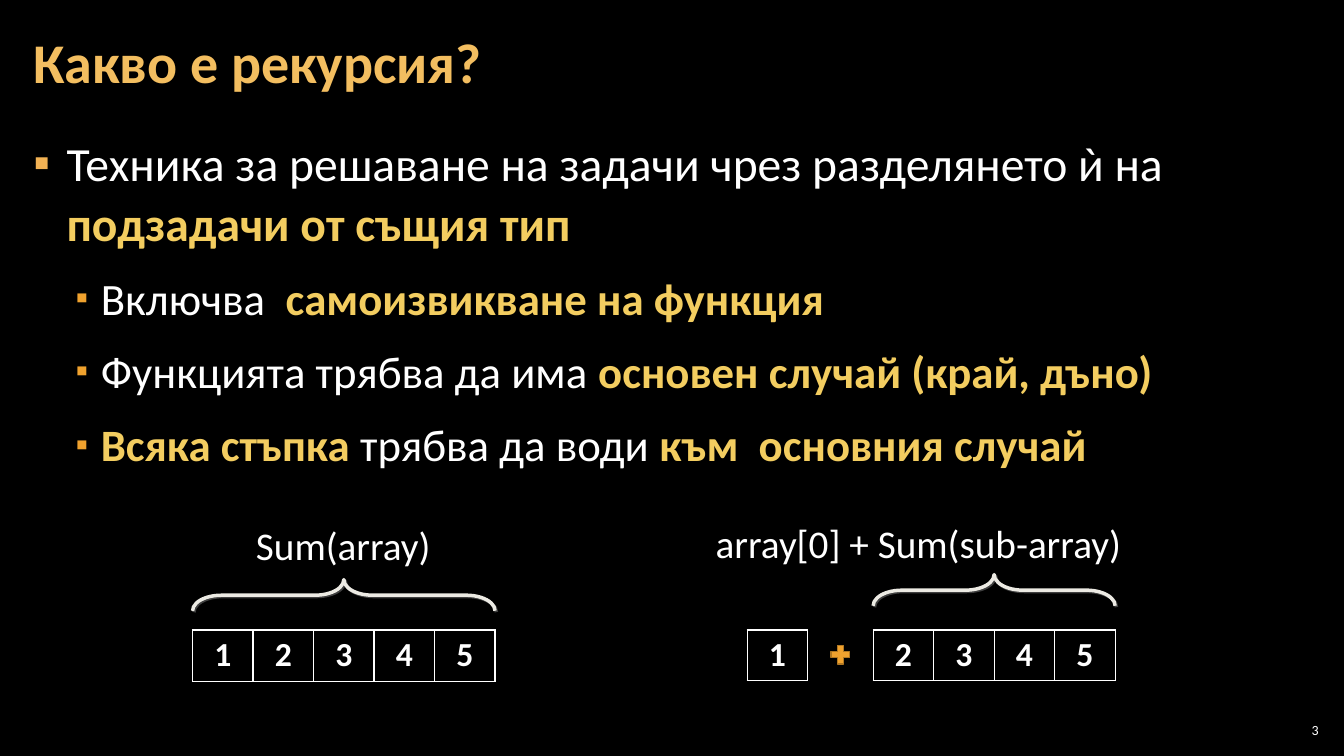
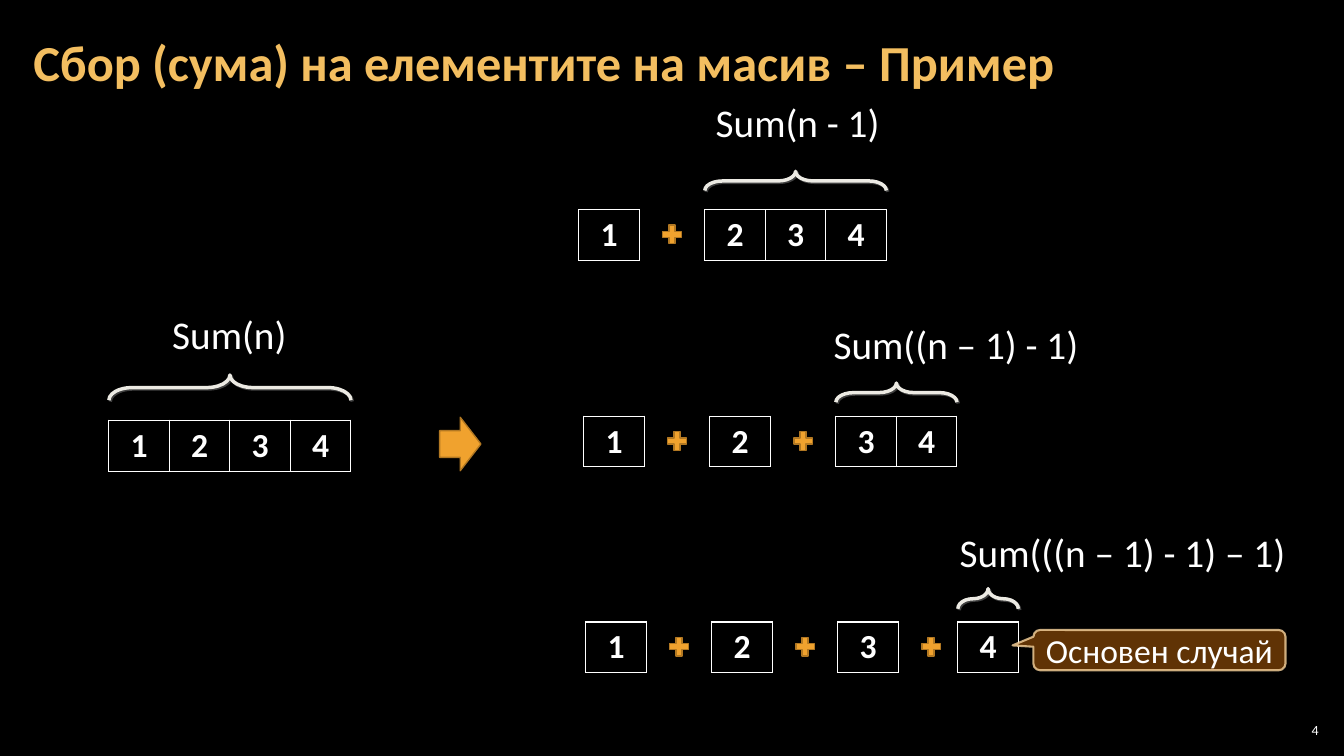
from dataclasses import dataclass

from lxml import etree
from pptx import Presentation
from pptx.dml.color import RGBColor
from pptx.enum.shapes import MSO_SHAPE
from pptx.enum.text import MSO_ANCHOR, MSO_AUTO_SIZE, PP_ALIGN
from pptx.oxml.ns import qn
from pptx.util import Inches, Pt

PLUS = MSO_SHAPE.MATH_PLUS
ARROW = MSO_SHAPE.RIGHT_ARROW
BRACE = MSO_SHAPE.LEFT_BRACE
CALLOUT = MSO_SHAPE.ROUNDED_RECTANGULAR_CALLOUT
MIDDLE = MSO_ANCHOR.MIDDLE
FIXED = MSO_AUTO_SIZE.NONE
LEFT, CENTER, RIGHT = PP_ALIGN.LEFT, PP_ALIGN.CENTER, PP_ALIGN.RIGHT

FONT = "Calibri"
COLORS = {
    "black": "000000",
    "white": "FFFFFF",
    "title": "F3BE60",
    "strong": "F3CD60",
    "bullet": "F2B254",
    "orange": "F0A22E",
    "edge": "B27822",
    "brace": "ECEAE3",
    "shade": "404040",
    "brown": "663606",
    "sand": "F8D49E",
}
CELL_W, CELL_H = 0.6, 0.5
STEP = 1.25
PLUS_X, PLUS_Y, PLUS_SIZE = 0.8, 0.12, 0.25


@dataclass
class Label:
    text: str
    left: float
    top: float
    width: float


@dataclass
class Row:
    left: float
    top: float
    groups: list[str]
    rise: float
    depth: float
    label: Label
    shift: float = 0


@dataclass
class Item:
    level: int
    runs: list[tuple[str, bool]]


ITEMS = [
    Item(0, [("Техника за решаване на задачи чрез разделянето ѝ на ", False),
             ("подзадачи от същия тип", True)]),
    Item(1, [("Включва  ", False), ("самоизвикване на функция", True)]),
    Item(1, [("Функцията трябва да има ", False),
             ("основен случай (край, дъно)", True)]),
    Item(1, [("Всяка стъпка ", True), ("трябва да води ", False),
             ("към  основния случай", True)]),
]
SPLIT = [
    Row(1.91, 6.25, ["12345"], 0.5, 0.31, Label("Sum(array)", 2.44, 5.12, 1.95)),
    Row(7.41, 6.25, ["1", "2345"], 0.55, 0.31,
        Label("array[0] + Sum(sub-array)", 7, 5.1, 4.45)),
]
STEPS = [
    Row(1.08, 4.17, ["1234"], 0.45, 0.25, Label("Sum(n)", 1.61, 3.03, 1.35)),
    Row(5.74, 2.08, ["1", "234"], 0.38, 0.19, Label("Sum(n - 1)", 7, 0.93, 1.85)),
    Row(5.79, 4.13, ["1", "2", "34"], 0.33, 0.19,
        Label("Sum((n – 1) - 1)", 8.17, 3.13, 2.66)),
    Row(5.81, 6.17, ["1", "2", "3", "4"], 0.33, 0.2,
        Label("Sum(((n – 1) - 1) – 1)", 9.42, 5.19, 3.59), -0.06),
]


def rgb(name: str) -> RGBColor:
    return RGBColor.from_string(COLORS[name])


def node(parent, tag: str, **attrs):
    return etree.SubElement(parent, qn(tag), {k: str(v) for k, v in attrs.items()})


def place(shape, left: float, top: float, width: float, height: float) -> None:
    shape.left, shape.top = Inches(left), Inches(top)
    shape.width, shape.height = Inches(width), Inches(height)


def style(para, size: float, color: str = "white", bold: bool = False) -> None:
    font = para.font
    font.name, font.size, font.bold = FONT, Pt(size), bold
    font.color.rgb = rgb(color)


def pad(frame, side: float, edge: float) -> None:
    frame.margin_left = frame.margin_right = Inches(side)
    frame.margin_top = frame.margin_bottom = Inches(edge)


def add_title(slide, text: str, size: float, width: float) -> None:
    shape = slide.shapes.title
    place(shape, 0.21, 0.04, width, 1.21)
    frame = shape.text_frame
    frame.text = text
    frame.auto_size = FIXED
    frame.vertical_anchor = MIDDLE
    pad(frame, 0.12, 0.04)
    para = frame.paragraphs[0]
    para.alignment = LEFT
    para.line_spacing = 0.9
    style(para, size, "title", True)


def add_list(slide, items: list[Item]) -> None:
    shape = slide.placeholders[1]
    place(shape, 0.21, 1.26, 12.91, 6.09)
    frame = shape.text_frame
    frame.auto_size = FIXED
    pad(frame, 0.12, 0.04)
    for i, item in enumerate(items):
        para = frame.add_paragraph() if i else frame.paragraphs[0]
        para.level = item.level
        para.line_spacing = 1.05
        para.space_before = Pt(6 if i else 0)
        para.space_after = Pt(6)
        margin, hang, color, size, scale = (
            (0.67, 0.25, "orange", 32, 80000) if item.level
            else (0.33, 0.33, "bullet", 34, 100000))
        props = para._p.get_or_add_pPr()
        props.set("marL", str(Inches(margin)))
        props.set("indent", str(-Inches(hang)))
        node(node(props, "a:buClr"), "a:srgbClr", val=COLORS[color])
        node(props, "a:buSzPct", val=scale)
        node(props, "a:buChar", char="▪")
        style(para, size)
        for text, strong in item.runs:
            run = para.add_run()
            run.text = text
            if strong:
                run.font.bold = True
                run.font.color.rgb = rgb("strong")


def add_number(slide, number: int) -> None:
    box = slide.shapes.add_textbox(
        Inches(12.65), Inches(7.14), Inches(0.47), Inches(0.21))
    frame = box.text_frame
    frame.word_wrap = True
    frame.vertical_anchor = MIDDLE
    pad(frame, 0.04, 0.04)
    para = frame.paragraphs[0]
    para.alignment = RIGHT
    style(para, 10)
    para.add_run().text = str(number)


def add_cells(slide, left: float, top: float, digits: str) -> None:
    table = slide.shapes.add_table(
        1, len(digits), Inches(left), Inches(top),
        Inches(CELL_W * len(digits)), Inches(CELL_H)).table
    table.first_row = table.horz_banding = False
    for i, digit in enumerate(digits):
        table.columns[i].width = Inches(CELL_W)
        cell = table.cell(0, i)
        cell.text = digit
        para = cell.text_frame.paragraphs[0]
        para.alignment = CENTER
        style(para, 24, bold=True)
        props = cell._tc.get_or_add_tcPr()
        for side in "LRTB":
            line = node(props, f"a:ln{side}", w=Pt(1))
            node(node(line, "a:solidFill"), "a:srgbClr", val=COLORS["white"])
        cell.fill.background()


def add_form(slide, kind, left: float, top: float, width: float, height: float,
             fill: str | None = "orange", edge: str = "edge", weight: float = 1):
    shape = slide.shapes.add_shape(
        kind, Inches(left), Inches(top), Inches(width), Inches(height))
    shape.shadow.inherit = False
    if fill:
        shape.fill.solid()
        shape.fill.fore_color.rgb = rgb(fill)
    else:
        shape.fill.background()
    shape.line.color.rgb = rgb(edge)
    shape.line.width = Pt(weight)
    return shape


def add_brace(slide, left: float, top: float, width: float, depth: float) -> None:
    mid_x, mid_y = left + width / 2, top + depth / 2
    shape = add_form(slide, BRACE, mid_x - depth / 2, mid_y - width / 2,
                     depth, width, None, "brace", 2.5)
    shape.rotation = 90
    shape.adjustments[0] = 0.919
    shape.adjustments[1] = 0.5
    effects = shape._element.spPr.find(qn("a:effectLst"))
    shadow = node(effects, "a:outerShdw", blurRad=0, dist=Pt(1.4),
                  dir=45 * 60000, rotWithShape=0)
    node(shadow, "a:srgbClr", val=COLORS["shade"])


def add_label(slide, label: Label) -> None:
    box = slide.shapes.add_textbox(
        Inches(label.left), Inches(label.top), Inches(label.width), Inches(0.57))
    frame = box.text_frame
    frame.word_wrap = False
    frame.text = label.text
    style(frame.paragraphs[0], 28)


def add_row(slide, row: Row) -> None:
    last = len(row.groups) - 1
    for i, digits in enumerate(row.groups):
        left = row.left + STEP * i
        if i < last:
            add_form(slide, PLUS, left + PLUS_X, row.top + PLUS_Y,
                     PLUS_SIZE, PLUS_SIZE)
        else:
            left += row.shift
            add_brace(slide, left, row.top - row.rise,
                      CELL_W * len(digits), row.depth)
        add_cells(slide, left, row.top, digits)
    add_label(slide, row.label)


def add_callout(slide, text: str) -> None:
    shape = add_form(slide, CALLOUT, 10.25, 6.25, 2.5, 0.4, "brown", "sand", 1.5)
    for i, value in enumerate((-0.583, -0.117, 0.167)):
        shape.adjustments[i] = value
    tints = shape._element.spPr.iter(qn("a:srgbClr"))
    for tint, alpha in zip(list(tints), (95000, 80000)):
        node(tint, "a:alpha", val=alpha)
    frame = shape.text_frame
    frame.word_wrap = True
    frame.vertical_anchor = MIDDLE
    pad(frame, 0.05, 0.05)
    frame.text = text
    para = frame.paragraphs[0]
    para.alignment = CENTER
    style(para, 24)


def main() -> None:
    deck = Presentation()
    deck.slide_width, deck.slide_height = Inches(13.33), Inches(7.5)
    back = deck.slide_master.background.fill
    back.solid()
    back.fore_color.rgb = rgb("black")

    intro = deck.slides.add_slide(deck.slide_layouts[1])
    add_title(intro, "Какво е рекурсия?", 40, 12.91)
    add_list(intro, ITEMS)
    for row in SPLIT:
        add_row(intro, row)
    add_number(intro, 3)

    demo = deck.slides.add_slide(deck.slide_layouts[5])
    add_title(demo, "Сбор (сума) на елементите на масив – Пример", 36, 10.47)
    for row in STEPS:
        add_row(demo, row)
    add_form(demo, ARROW, 4.36, 4.14, 0.41, 0.53)
    add_callout(demo, "Основен случай")
    add_number(demo, 4)

    deck.save("out.pptx")


if __name__ == "__main__":
    main()
